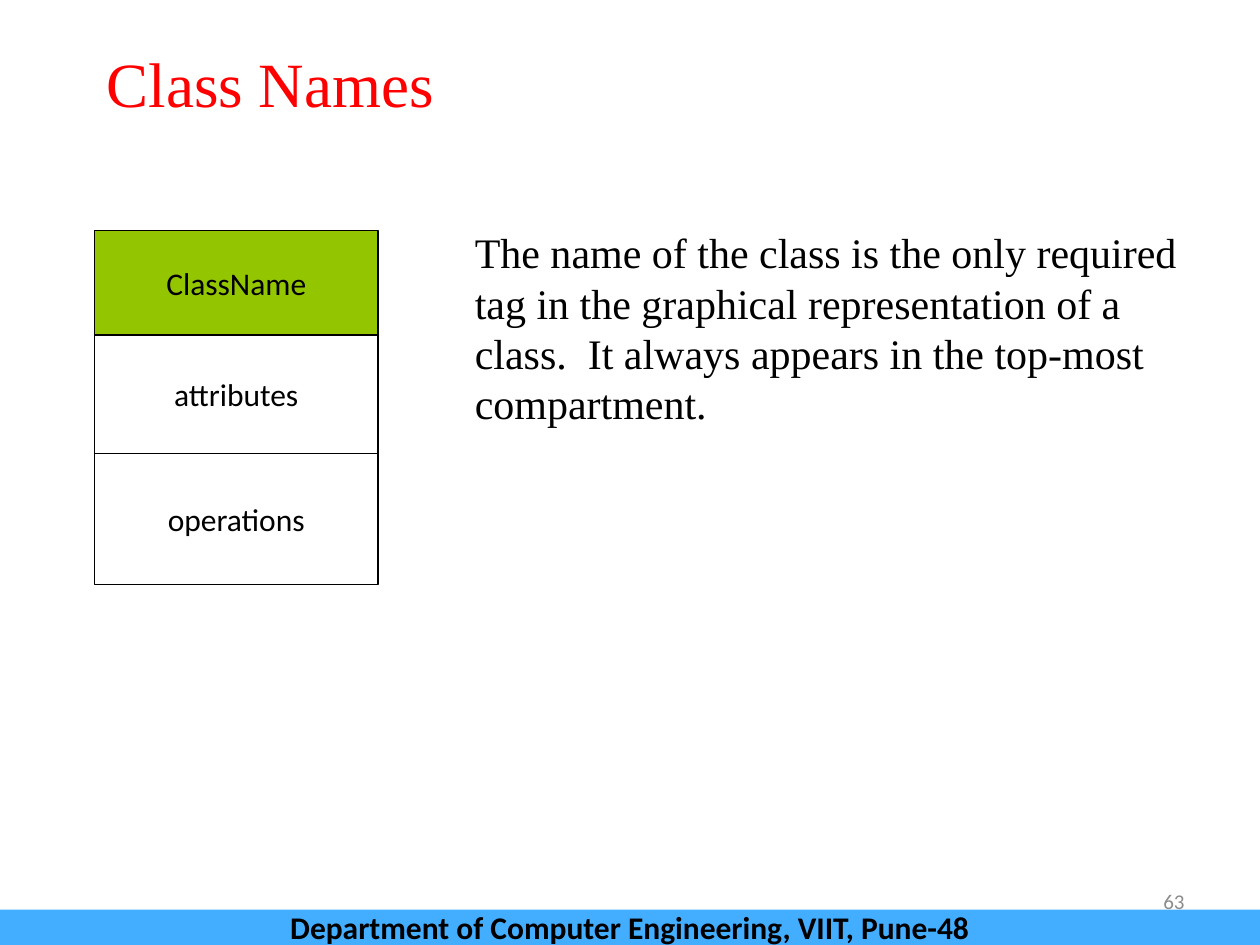
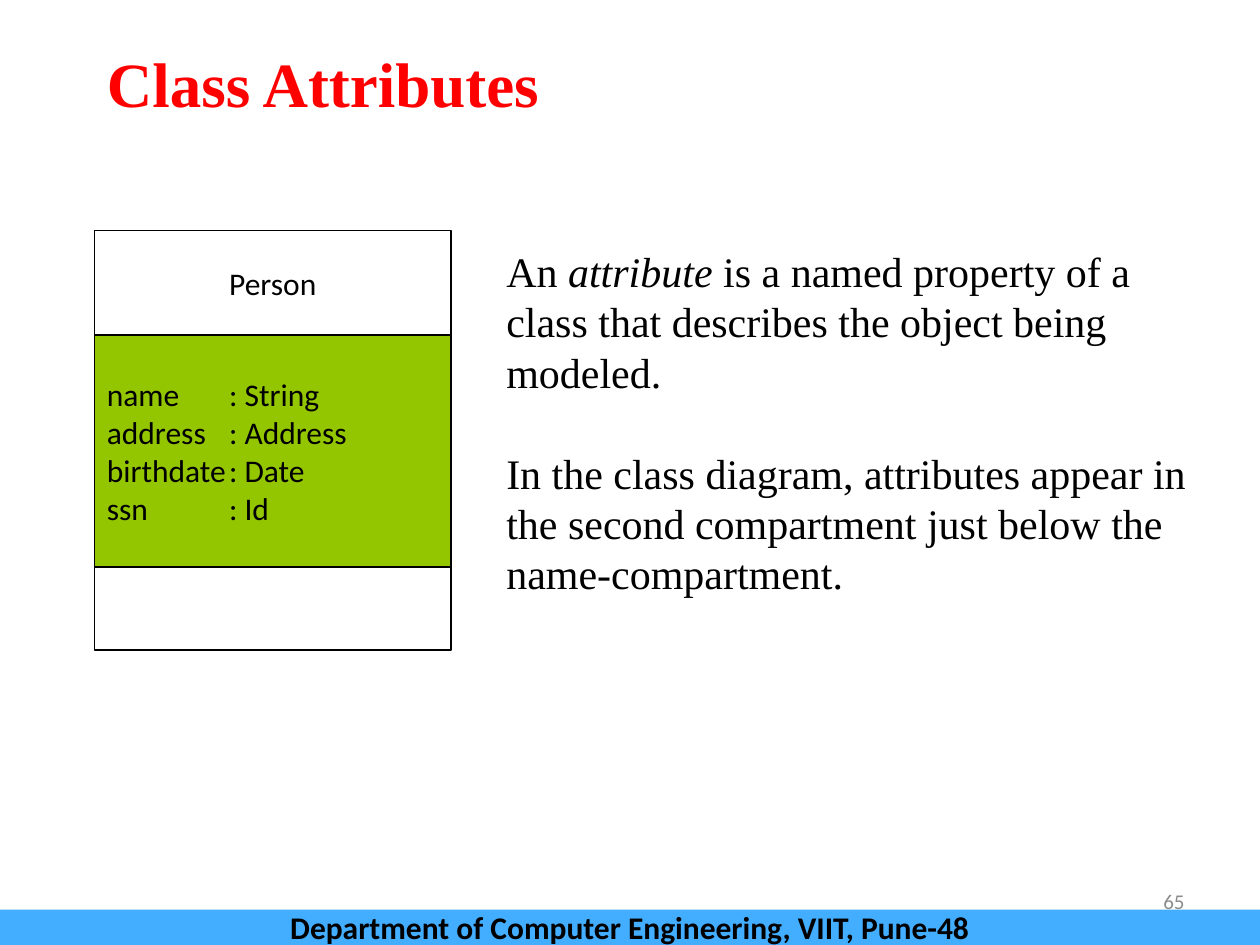
from pptx import Presentation
from pptx.dml.color import RGBColor
from pptx.enum.shapes import MSO_SHAPE
from pptx.enum.text import MSO_ANCHOR, PP_ALIGN
from pptx.oxml.ns import qn
from pptx.util import Inches, Pt
from lxml import etree

RECTANGLE = MSO_SHAPE.RECTANGLE
TOP, MIDDLE, BOTTOM = MSO_ANCHOR.TOP, MSO_ANCHOR.MIDDLE, MSO_ANCHOR.BOTTOM
LEFT, CENTER, RIGHT = PP_ALIGN.LEFT, PP_ALIGN.CENTER, PP_ALIGN.RIGHT

SERIF, SANS = "Times New Roman", "Calibri"
BLACK, WHITE, RED, GRAY = "000000", "FFFFFF", "FF0000", "8C8C8C"
GREEN, BLUE = "94C600", "43AEFF"
FOOTER = "Department of Computer Engineering, VIIT, Pune-48"
LINE_PITCH = 1.2
BODY_SIZE = 24
CLASS_LEFT, CLASS_TOP = 0.75, 1.83
TYPE_COLUMN = 0.97


def color(code):
    return RGBColor.from_string(code)


def add_text(para, text, font=SANS, size=18, fill=BLACK, bold=False, italic=False):
    span = para.add_run()
    span.text = text
    span.font.name = font
    span.font.size = Pt(size)
    span.font.color.rgb = color(fill)
    span.font.bold = bold
    span.font.italic = italic


def add_tab_stop(para, position):
    """Add a left tab stop, measured in inches from the text edge."""
    tabs = etree.SubElement(para._p.get_or_add_pPr(), qn("a:tabLst"))
    etree.SubElement(tabs, qn("a:tab"), pos=str(Inches(position)), algn="l")


class ClassDeck:
    """Holds the deck, its style and the current page."""

    def __init__(self):
        self.deck = Presentation()
        self.deck.slide_width = Inches(10)
        self.deck.slide_height = Inches(7.5)
        self.page = None

    def start_page(self, title, number, bold=False):
        self.page = self.deck.slides.add_slide(self.deck.slide_layouts[6])
        heading = self.text_box(0.75, 0.42, 8.58, 0.58, BOTTOM)
        add_text(heading.paragraphs[0], title, font=SERIF, size=36, fill=RED, bold=bold)
        corner = self.text_box(7.17, 6.95, 2.33, 0.4, MIDDLE)
        corner.paragraphs[0].alignment = RIGHT
        add_text(corner.paragraphs[0], str(number), size=12, fill=GRAY)
        band = self.rectangle(0, 7.22, 10, 0.28, BLUE)
        band.paragraphs[0].alignment = CENTER
        add_text(band.paragraphs[0], FOOTER, bold=True)

    def text_box(self, left, top, width, height, anchor=TOP):
        box = self.page.shapes.add_textbox(
            Inches(left), Inches(top), Inches(width), Inches(height))
        box.text_frame.word_wrap = True
        box.text_frame.vertical_anchor = anchor
        return box.text_frame

    def rectangle(self, left, top, width, height, fill, outline=None):
        box = self.page.shapes.add_shape(
            RECTANGLE, Inches(left), Inches(top), Inches(width), Inches(height))
        box.shadow.inherit = False
        box.fill.solid()
        box.fill.fore_color.rgb = color(fill)
        if outline:
            box.line.color.rgb = color(outline)
            box.line.width = Pt(0.75)
        else:
            box.line.fill.background()
        box.text_frame.vertical_anchor = MIDDLE
        return box.text_frame

    def class_diagram(self, width, compartments):
        """Stack compartments given as (height, fill, lines); a tab marks a typed member."""
        top = CLASS_TOP
        for height, fill, lines in compartments:
            frame = self.rectangle(CLASS_LEFT, top, width, height, fill, BLACK)
            for index, line in enumerate(lines):
                para = frame.add_paragraph() if index else frame.paragraphs[0]
                para.line_spacing = Pt(18 * LINE_PITCH)
                para.alignment = LEFT if "\t" in line else CENTER
                if "\t" in line:
                    add_tab_stop(para, TYPE_COLUMN)
                add_text(para, line)
            top += height

    def explanation(self, left, top, width, height, paragraphs):
        """Write paragraphs, each a list of spans that alternate upright and italic."""
        frame = self.text_box(left, top, width, height)
        for index, spans in enumerate(paragraphs):
            para = frame.add_paragraph() if index else frame.paragraphs[0]
            para.line_spacing = Pt(BODY_SIZE * LINE_PITCH)
            if index:
                para.space_before = Pt(BODY_SIZE * LINE_PITCH)
            for position, text in enumerate(spans):
                add_text(para, text, font=SERIF, size=BODY_SIZE, italic=position % 2 == 1)


def main():
    show = ClassDeck()

    show.start_page("Class Names", 63)
    show.class_diagram(2.25, [
        (0.83, GREEN, ["ClassName"]),
        (0.94, WHITE, ["attributes"]),
        (1.04, WHITE, ["operations"]),
    ])
    show.explanation(3.67, 1.75, 6, 1.7, [
        ["The name of the class is the only required tag in the graphical "
         "representation of a class.  It always appears in the top-most compartment."],
    ])

    show.start_page("Class Attributes", 65, bold=True)
    show.class_diagram(2.83, [
        (0.83, WHITE, ["Person"]),
        (1.84, GREEN, ["name\t: String", "address\t: Address",
                       "birthdate\t: Date", "ssn\t: Id"]),
        (0.66, WHITE, []),
    ])
    show.explanation(3.92, 1.9, 5.7, 2.93, [
        ["An ", "attribute",
         " is a named property of a class that describes the object being modeled."],
        ["In the class diagram, attributes appear in the second compartment "
         "just below the name-compartment."],
    ])

    show.deck.save("out.pptx")


if __name__ == "__main__":
    main()
